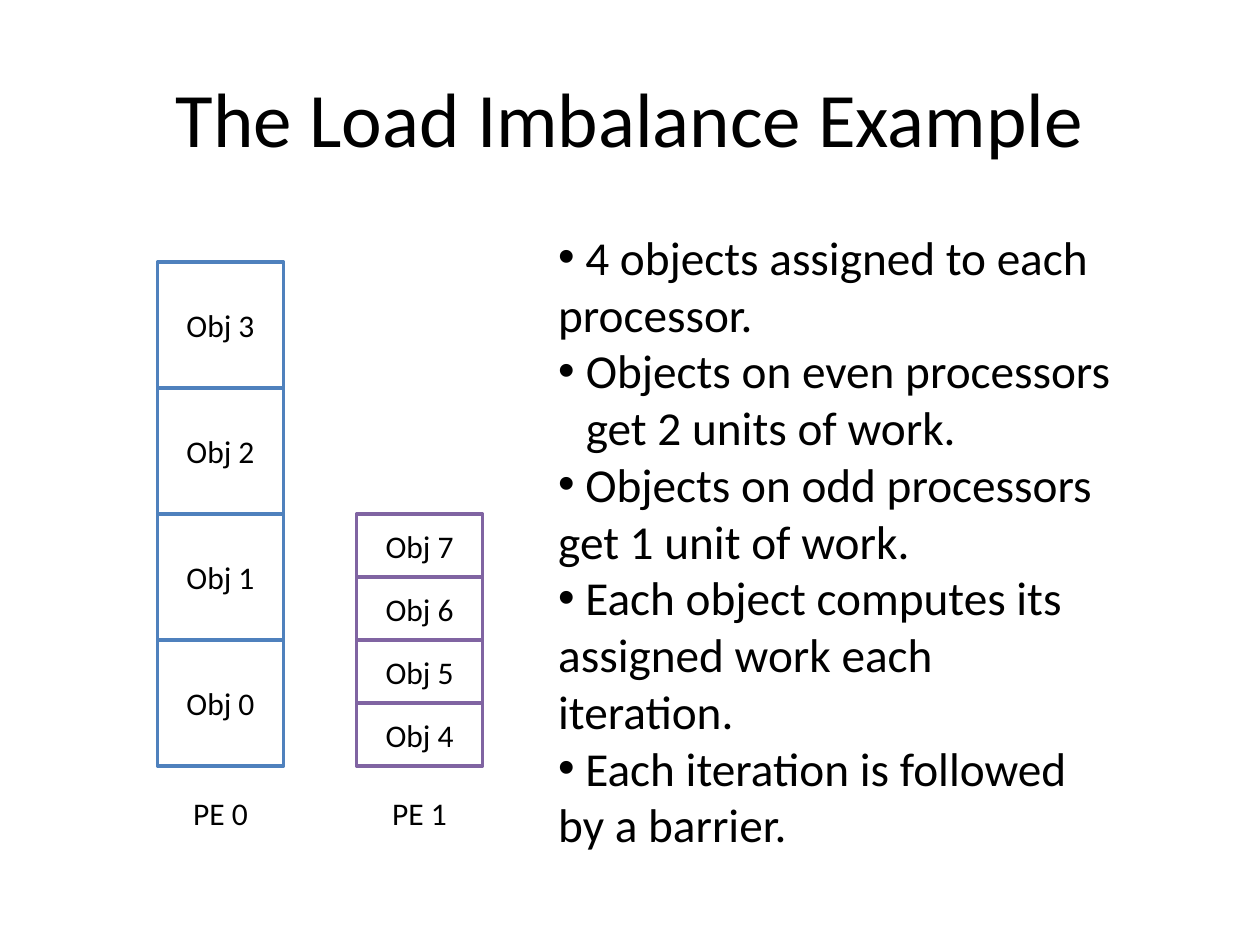
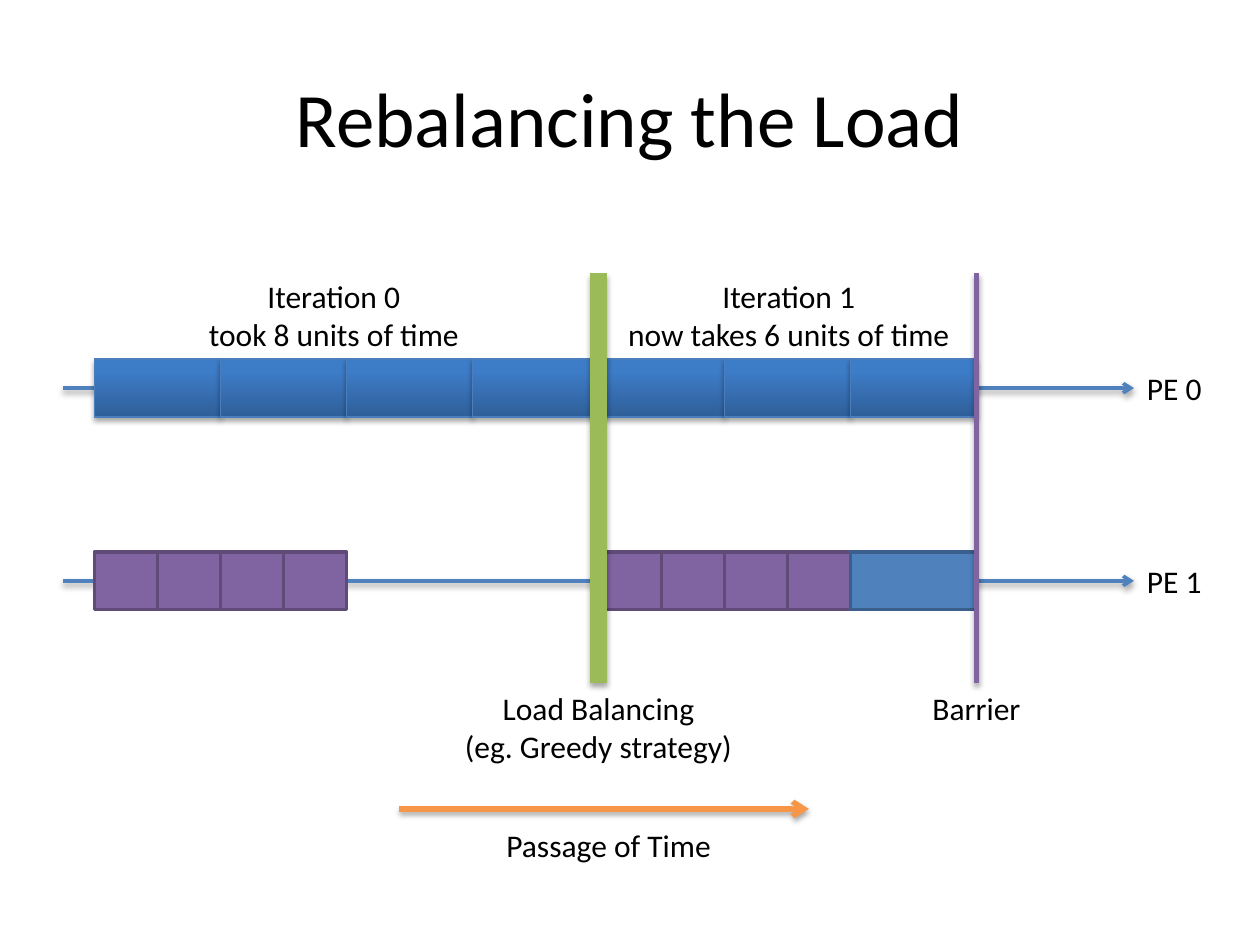
from typing import NamedTuple

from lxml.etree import SubElement
from pptx import Presentation
from pptx.dml.color import RGBColor
from pptx.enum.shapes import MSO_CONNECTOR as Connector, MSO_SHAPE as Shape
from pptx.enum.text import MSO_ANCHOR as Anchor, MSO_AUTO_SIZE as AutoSize, PP_ALIGN as Align
from pptx.oxml.ns import qn
from pptx.util import Inches, Pt

COLUMNS, ROWS = 10, 7.5
BLACK, WHITE = "000000", "FFFFFF"
BLUE, PURPLE, GREEN, ORANGE = "4F81BD", "8064A2", "9BBB59", "F79646"
GRADIENT = ("2F5F99", "3D7CC7")
TITLE_SIZE, LIST_SIZE, LABEL_SIZE = 44, 27, 18
LABEL_HEIGHT, LINE_HEIGHT = 0.4, 0.31
BLOCK_HEIGHT = 0.46
HANGING = 0.22

EVEN_STYLE = {"fill": GRADIENT, "line": "4B7EBC", "weight": 0.75, "shadow": True}
ODD_STYLE = {"fill": PURPLE, "line": "5F4A78", "weight": 2}
MOVED_STYLE = {"fill": BLUE, "line": "3A5F8C", "weight": 2}

ASSIGNMENT = [
    " 4 objects assigned to each processor.",
    "Objects on even processors get 2 units of work.",
    " Objects on odd processors get 1 unit of work.",
    " Each object computes its assigned work each iteration.",
    " Each iteration is followed by a barrier.",
]
HANGING_ITEM = 1


class Box(NamedTuple):
    """A region in grid columns and rows."""
    left: float
    top: float
    width: float
    height: float

    def within(self, left, top, width, height):
        """Return a region placed relative to this one."""
        return Box(self.left + left, self.top + top, width, height)

    def lengths(self):
        """Return the four measures as slide lengths."""
        return [Inches(value) for value in self]


def color(hex_code):
    """Turn a hex string into a colour."""
    return RGBColor.from_string(hex_code)


def apply_format(target, values):
    """Set every attribute named in a dict of format values."""
    for name, value in values.items():
        setattr(target, name, value)


def write(frame, lines, size, align):
    """Write one formatted paragraph per line of text."""
    for index, line in enumerate(lines):
        paragraph = frame.add_paragraph() if index else frame.paragraphs[0]
        run = paragraph.add_run()
        run.text = line
        apply_format(paragraph, {"alignment": align, "space_before": Pt(0)})
        apply_format(run.font, {"size": Pt(size), "name": "Calibri"})
        run.font.color.rgb = color(BLACK)


def cast_shadow(effects):
    """Fill an effect list with a soft shadow falling downwards."""
    shadow = SubElement(effects, qn("a:outerShdw"), blurRad=str(Pt(3.1)), dist=str(Pt(1.8)),
                        dir="5400000", rotWithShape="0")
    tint = SubElement(shadow, qn("a:srgbClr"), val=BLACK)
    SubElement(tint, qn("a:alpha"), val="35000")


def add_title(slide, text):
    """Place and write the slide title."""
    title = slide.shapes.title
    apply_format(title, dict(zip(("left", "top", "width", "height"),
                                 Box(0.5, 0.3, COLUMNS - 1, 1.25).lengths())))
    title.text_frame.vertical_anchor = Anchor.MIDDLE
    write(title.text_frame, [text], TITLE_SIZE, Align.CENTER)


def add_label(slide, center, top, *lines):
    """Add a text label centred on a column."""
    width = 0.2 + 0.11 * max(map(len, lines))
    height = LABEL_HEIGHT + LINE_HEIGHT * (len(lines) - 1)
    label = slide.shapes.add_textbox(*Box(center - width / 2, top, width, height).lengths())
    label.text_frame.word_wrap = False
    write(label.text_frame, lines, LABEL_SIZE, Align.CENTER)
    return label


def add_block(slide, box, fill, line, weight, shadow=False, text=None):
    """Add one unit of work as a rectangle."""
    block = slide.shapes.add_shape(Shape.RECTANGLE, *box.lengths())
    if isinstance(fill, tuple):
        block.fill.gradient()
        block.fill.gradient_angle = 90
        for stop, position, shade in zip(block.fill.gradient_stops, (0, 0.8), fill):
            stop.position = position
            stop.color.rgb = color(shade)
    else:
        block.fill.solid()
        block.fill.fore_color.rgb = color(fill)
    block.line.color.rgb = color(line)
    block.line.width = Pt(weight)
    block.shadow.inherit = False
    if shadow:
        cast_shadow(block.element.spPr.find(qn("a:effectLst")))
    if text:
        block.text_frame.vertical_anchor = Anchor.MIDDLE
        write(block.text_frame, [text], LABEL_SIZE, Align.CENTER)


def add_rule(slide, start, end, shade, weight, arrow=False):
    """Add a straight line or arrow with a shadow."""
    ends = [Inches(value) for value in (*start, *end)]
    rule = slide.shapes.add_connector(Connector.STRAIGHT, *ends)
    rule.line.color.rgb = color(shade)
    rule.line.width = Pt(weight)
    if arrow:
        SubElement(rule.line._get_or_add_ln(), qn("a:tailEnd"), type="arrow")
    cast_shadow(SubElement(rule.element.spPr, qn("a:effectLst")))
    return rule


def draw_stack(slide, box, processor, objects, units, shade):
    """Pile a processor's objects up from the bottom of the box."""
    for level, number in enumerate(objects, 1):
        add_block(slide, box.within(0, box.height - level * units, box.width, units),
                  WHITE, shade, 2, text=f"Obj {number}")
    add_label(slide, box.left + box.width / 2, box.top + box.height + 0.17, processor)


def draw_assignment(slide, box):
    """Write the bulleted list of rules into the body placeholder."""
    body = slide.placeholders[1]
    apply_format(body, dict(zip(("left", "top", "width", "height"), box.lengths())))
    apply_format(body.text_frame, {"auto_size": AutoSize.NONE, "vertical_anchor": Anchor.TOP,
                                   "margin_right": Inches(0.05)})
    write(body.text_frame, ASSIGNMENT, LIST_SIZE, Align.LEFT)
    for index, paragraph in enumerate(body.text_frame.paragraphs):
        margin = Inches(HANGING) if index == HANGING_ITEM else 0
        properties = paragraph._p.get_or_add_pPr()
        properties.set("marL", str(margin))
        properties.set("indent", str(-margin))


def draw_lane(slide, box, processor, work):
    """Draw a processor's time arrow and the work along it."""
    middle = box.top + box.height / 2
    right = box.left + box.width
    arrow = add_rule(slide, (box.left, middle), (right, middle), BLUE, 2, arrow=True)
    name = add_label(slide, right + 0.32, middle - LABEL_HEIGHT / 2, processor)
    arrow.end_connect(name, 1)
    for start, count, units, style in work:
        for step in range(count):
            add_block(slide, box.within(start + step * units, 0, units, box.height), **style)


def draw_marker(slide, box, offset, shade, weight, *lines):
    """Draw a vertical line across the lanes, with its label below."""
    column, bottom = box.left + offset, box.top + box.height
    marker = add_rule(slide, (column, box.top), (column, bottom), shade, weight)
    marker.end_connect(add_label(slide, column, bottom, *lines), 0)


def draw_timeline(slide, box):
    """Draw both lanes, the markers between iterations and the time arrow."""
    first, balancing, barrier = 0.25, 4.25, 7.25
    lanes = [
        ("PE 0", 0.68, [(first, 4, 1, EVEN_STYLE), (balancing, 3, 1, EVEN_STYLE)]),
        ("PE 1", 2.21, [(first, 4, 0.5, ODD_STYLE), (balancing, 4, 0.5, ODD_STYLE),
                        (barrier - 1, 1, 1, MOVED_STYLE)]),
    ]
    for processor, top, work in lanes:
        draw_lane(slide, box.within(0, top, box.width, BLOCK_HEIGHT), processor, work)
    draw_marker(slide, box, balancing, GREEN, 10, "Load Balancing", "(eg. Greedy strategy)")
    draw_marker(slide, box, barrier, PURPLE, 3, "Barrier")
    for center, lines in ((2.15, ("Iteration 0", "took 8 units of time")),
                          (5.76, ("Iteration 1", "now takes 6 units of time"))):
        add_label(slide, box.left + center, box.top - 0.02, *lines)
    passage = box.within(2.67, box.height + 1, 3.25, 0)
    add_rule(slide, passage[:2], (passage.left + passage.width, passage.top), ORANGE, 3,
             arrow=True)
    add_label(slide, box.left + 4.33, passage.top + 0.09, "Passage of Time")


def build_imbalance(deck):
    """Build the slide that shows the uneven load."""
    slide = deck.slides.add_slide(deck.slide_layouts[1])
    add_title(slide, "The Load Imbalance Example")
    draw_stack(slide, Box(1.25, 2.08, 1, 4), "PE 0", range(4), 1, BLUE)
    draw_stack(slide, Box(2.83, 2.08, 1, 4), "PE 1", range(4, 8), 0.5, PURPLE)
    draw_assignment(slide, Box(4.33, 1.76, 4.58, 5.1))


def build_rebalancing(deck):
    """Build the slide that shows the load after balancing."""
    slide = deck.slides.add_slide(deck.slide_layouts[5])
    add_title(slide, "Rebalancing the Load")
    draw_timeline(slide, Box(0.5, 2.17, 8.5, 3.25))


def main():
    """Build and save the slides."""
    deck = Presentation()
    apply_format(deck, {"slide_width": Inches(COLUMNS), "slide_height": Inches(ROWS)})
    build_imbalance(deck)
    build_rebalancing(deck)
    deck.save("out.pptx")


if __name__ == "__main__":
    main()
